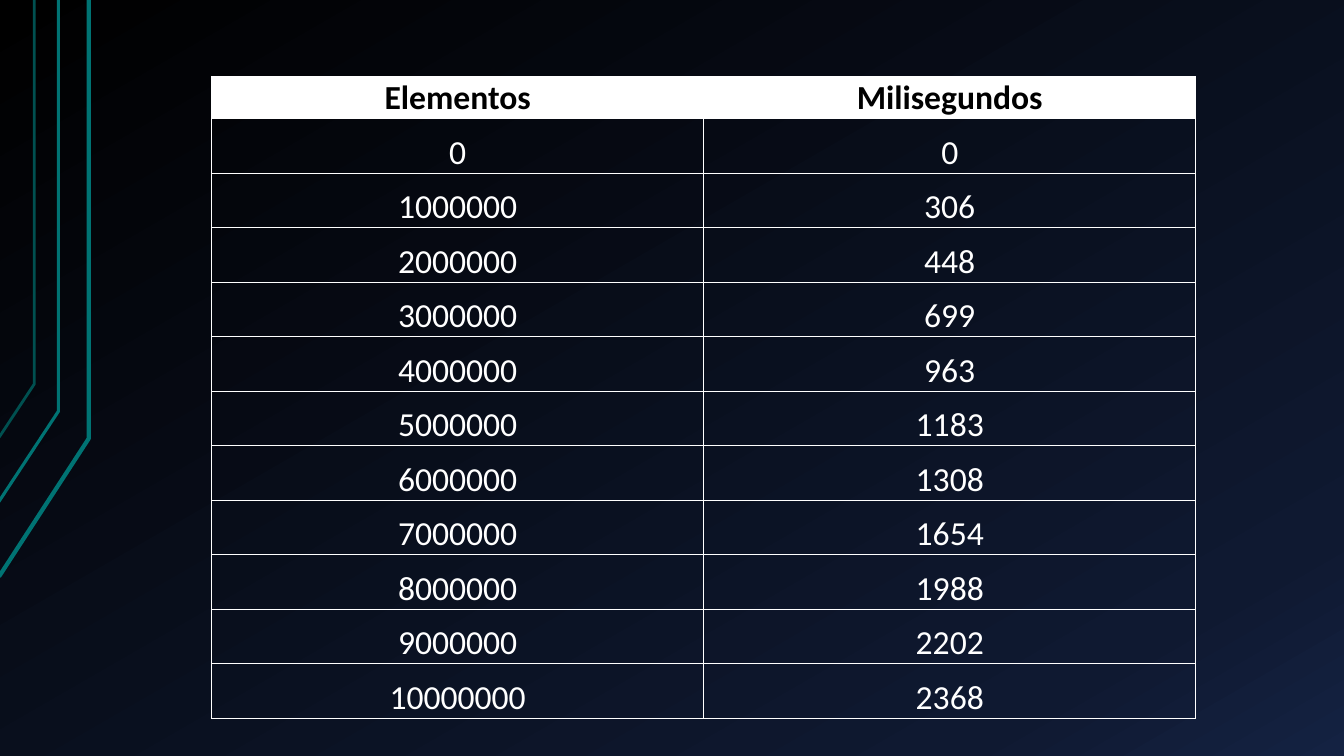
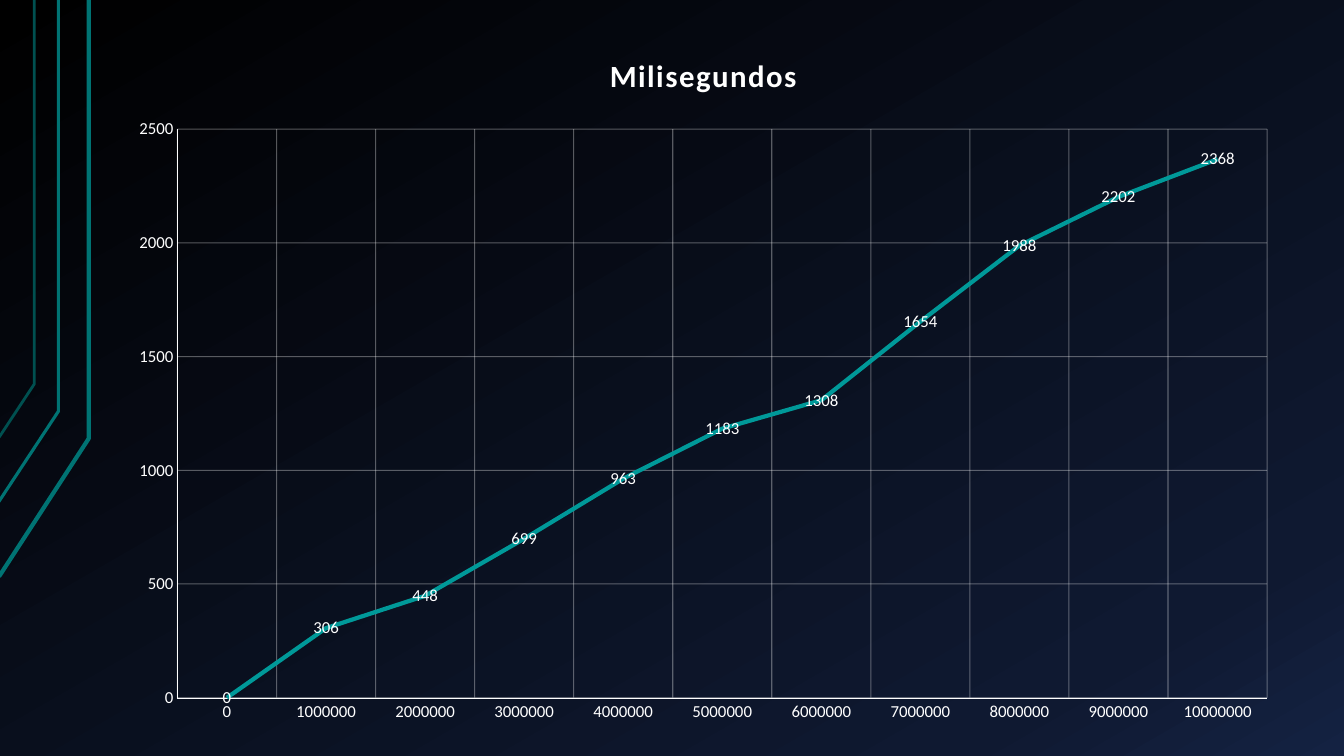
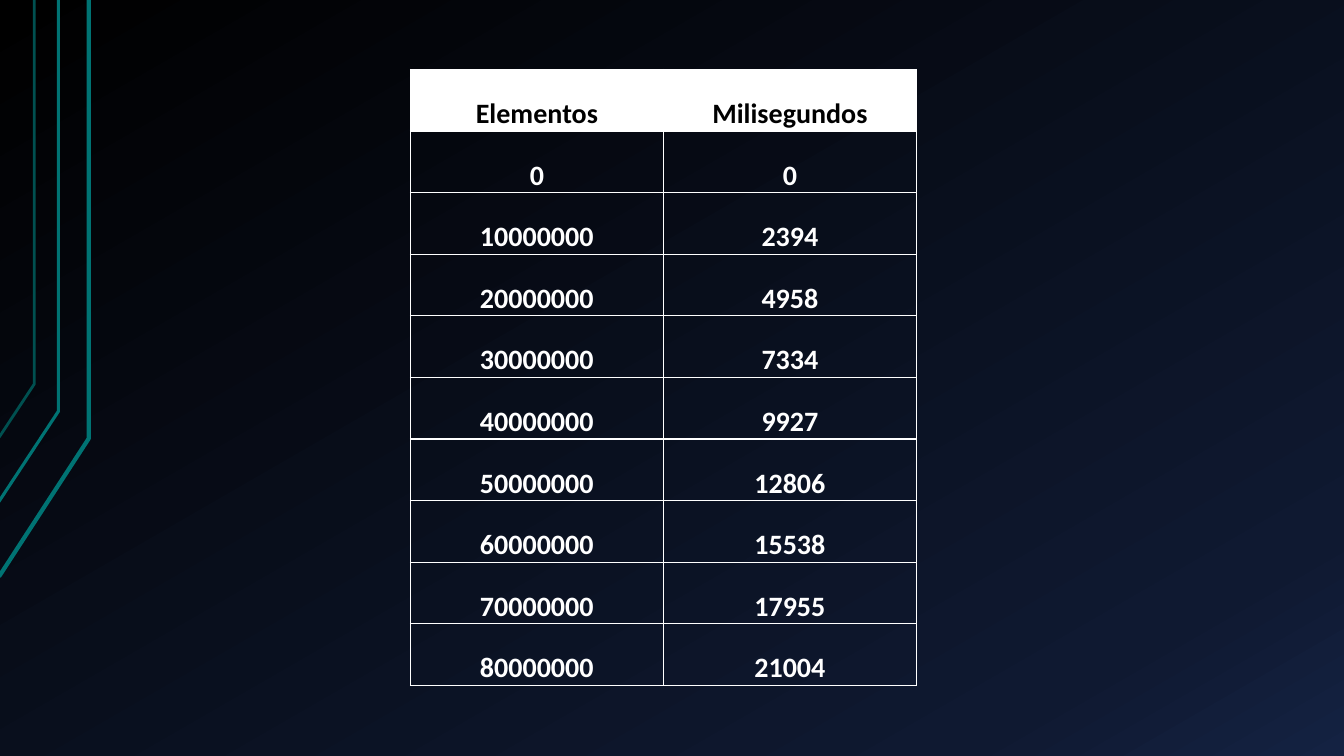
from copy import deepcopy
from dataclasses import dataclass

from lxml import etree
from pptx import Presentation
from pptx import util as u
from pptx.chart.data import CategoryChartData
from pptx.dml.color import RGBColor
from pptx.enum import chart as charts
from pptx.enum import text
from pptx.oxml.ns import qn

PX = 9144  # EMU per px, 100 px to the inch
BLANK_LAYOUT = 6


def px(length):
    return u.Emu(length * PX)


def rgb(value):
    return RGBColor.from_string(value)


@dataclass(frozen=True)
class Theme:
    font: str = "Calibri"
    white: str = "FFFFFF"
    black: str = "000000"
    series: str = "009999"
    band: str = "007373"
    band_dim: str = "005050"
    background: tuple = ((0, "000000"), (0.85, "0F1931"), (1, "142242"))
    background_angle: int = 300
    chart_title: int = 22
    chart_text: int = 12
    title_spacing: int = 120
    grid_alpha: int = 32000


class Deck:
    def __init__(self, theme):
        self.theme = theme
        self.presentation = Presentation()
        self.presentation.slide_width = px(1333)
        self.presentation.slide_height = px(750)
        self.slide = None
        self.paint_background()

    def new_slide(self):
        layout = self.presentation.slide_layouts[BLANK_LAYOUT]
        self.slide = self.presentation.slides.add_slide(layout)

    def paint_background(self):
        master = self.presentation.slide_master
        fill = master.background.fill
        fill.gradient()
        fill.gradient_angle = self.theme.background_angle
        stop_list = next(master.element.iter(qn("a:gsLst")))
        stop_list.append(deepcopy(stop_list[0]))
        for stop, (position, color) in zip(fill.gradient_stops, self.theme.background):
            stop.position = position
            stop.color.rgb = rgb(color)

    def add_master_band(self, shape_id, points, color, width):
        """Draw an open outline on the current slide, then move it to the master."""
        builder = self.slide.shapes.build_freeform(*points[0], scale=PX)
        builder.add_line_segments(points[1:], close=False)
        shape = builder.convert_to_shape()
        shape.shadow.inherit = False
        shape.fill.background()
        self.style_line(shape.line, color, width)
        shape.element.nvSpPr.cNvPr.id = shape_id
        self.presentation.slide_master.element.cSld.spTree.append(shape.element)

    def style_line(self, line, color, width):
        line.color.rgb = rgb(color)
        line.width = u.Pt(width)

    def style_font(self, font, size, color, bold=False):
        font.name = self.theme.font
        font.size = u.Pt(size)
        font.bold = bold
        font.color.rgb = rgb(color)

    def add_table(self, box, rows, size, header_height, bold_body, border):
        left, top, width, height = map(px, box)
        frame = self.slide.shapes.add_table(len(rows), len(rows[0]), left, top, width, height)
        table = frame.table
        table.first_row = table.horz_banding = False
        body_height = (height - px(header_height)) // (len(rows) - 1)
        for row_index, values in enumerate(rows):
            is_header = row_index == 0
            table.rows[row_index].height = px(header_height) if is_header else body_height
            for column_index, value in enumerate(values):
                cell = table.cell(row_index, column_index)
                self.fill_cell(cell, value, size, is_header, is_header or bold_body)
                self.add_cell_borders(cell, border)

    def fill_cell(self, cell, value, size, is_header, bold):
        cell.margin_left = cell.margin_right = cell.margin_top = px(1)
        cell.margin_bottom = 0
        cell.vertical_anchor = text.MSO_ANCHOR.BOTTOM
        if is_header:
            cell.fill.solid()
            cell.fill.fore_color.rgb = rgb(self.theme.white)
        else:
            cell.fill.background()
        cell.text = str(value)
        paragraph = cell.text_frame.paragraphs[0]
        paragraph.alignment = text.PP_ALIGN.CENTER
        color = self.theme.black if is_header else self.theme.white
        self.style_font(paragraph.font, size, color, bold)

    def add_cell_borders(self, cell, width):
        properties = cell._tc.get_or_add_tcPr()
        for index, side in enumerate(("lnL", "lnR", "lnT", "lnB")):
            line = etree.Element(qn(f"a:{side}"), w=str(u.Pt(width)))
            fill = etree.SubElement(line, qn("a:solidFill"))
            etree.SubElement(fill, qn("a:srgbClr"), val=self.theme.white)
            properties.insert(index, line)

    def add_line_chart(self, box, name, points):
        theme = self.theme
        data = CategoryChartData()
        data.categories = [str(category) for category, _ in points]
        data.add_series(name, [value for _, value in points])
        frame = self.slide.shapes.add_chart(charts.XL_CHART_TYPE.LINE, *map(px, box), data)
        chart = frame.chart
        chart.has_legend = False
        self.style_font(chart.font, theme.chart_text, theme.white)
        self.add_chart_title(chart, name)
        for axis in (chart.category_axis, chart.value_axis):
            self.style_axis(axis)
        chart.value_axis.minimum_scale = 0
        chart.value_axis.maximum_scale = 2500
        chart.value_axis.major_unit = 500

        plot = chart.plots[0]
        plot.vary_by_categories = False
        series = plot.series[0]
        series.smooth = False
        series.marker.style = charts.XL_MARKER_STYLE.NONE
        self.style_line(series.format.line, theme.series, 3)
        labels = series.data_labels
        labels.show_value = True
        labels.position = charts.XL_LABEL_POSITION.CENTER
        self.style_font(labels.font, theme.chart_text, theme.white)

    def add_chart_title(self, chart, title):
        chart.has_title = True
        chart.chart_title.include_in_layout = False
        frame = chart.chart_title.text_frame
        frame.text = title
        paragraph = frame.paragraphs[0]
        self.style_font(paragraph.font, self.theme.chart_title, self.theme.white, True)
        next(paragraph._p.iter(qn("a:defRPr"))).set("spc", str(self.theme.title_spacing))

    def style_axis(self, axis):
        theme = self.theme
        axis.major_tick_mark = axis.minor_tick_mark = charts.XL_TICK_MARK.NONE
        self.style_font(axis.tick_labels.font, theme.chart_text, theme.white)
        self.style_line(axis.format.line, theme.white, 0.25)
        axis.has_major_gridlines = True
        gridlines = axis.major_gridlines
        self.style_line(gridlines.format.line, theme.white, 0.75)
        grid_element = next(axis._element.iter(qn("c:majorGridlines")))
        color = next(grid_element.iter(qn("a:srgbClr")))
        etree.SubElement(color, qn("a:alpha"), val=str(theme.grid_alpha))


def main():
    theme = Theme()
    deck = Deck(theme)
    header = ("Elementos", "Milisegundos")
    millions = [0, 306, 448, 699, 963, 1183, 1308, 1654, 1988, 2202, 2368]
    tens_of_millions = [0, 2394, 4958, 7334, 9927, 12806, 15538, 17955, 21004]
    short_run = [(i * 1000000, value) for i, value in enumerate(millions)]
    long_run = [(i * 10000000, value) for i, value in enumerate(tens_of_millions)]
    bands = [
        ([(-1, 572), (88, 435), (88, 0)], theme.band, 3),
        ([(-2, 499), (58, 408), (58, 0)], theme.band, 2.25),
        ([(-1, 434), (34, 381), (34, 0)], theme.band_dim, 2),
    ]

    deck.new_slide()
    for shape_id, band in enumerate(bands, start=20):
        deck.add_master_band(shape_id, *band)
    deck.add_table((210, 76, 976, 637), [header, *short_run], size=24,
                   header_height=42, bold_body=False, border=0.75)

    deck.new_slide()
    deck.add_line_chart((115, 29, 1165, 701), header[1], short_run)

    deck.new_slide()
    deck.add_table((407, 69, 502, 611), [header, *long_run], size=20,
                   header_height=61, bold_body=True, border=1)

    deck.presentation.save("out.pptx")


if __name__ == "__main__":
    main()
